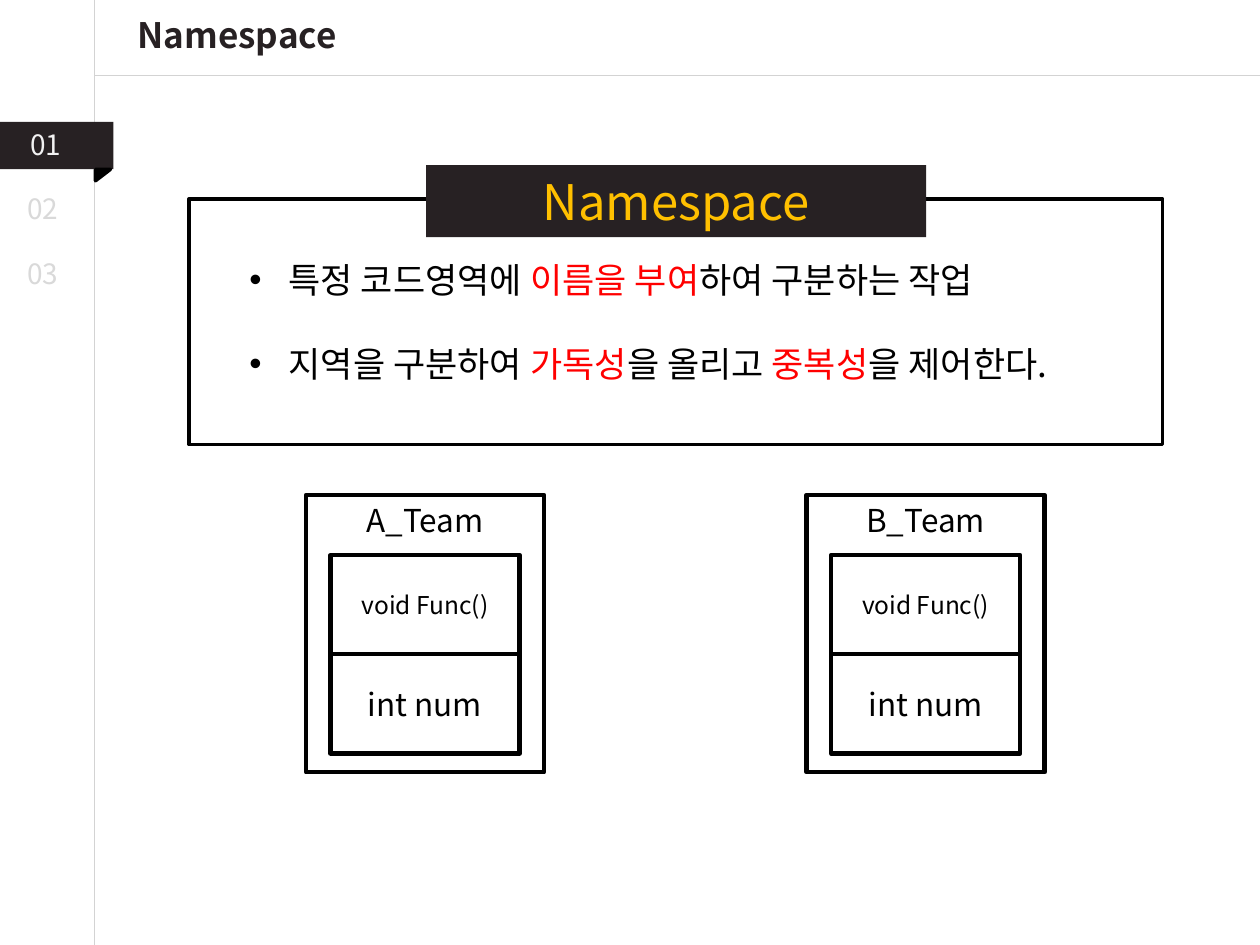
from lxml import etree
from pptx import Presentation
from pptx.dml.color import RGBColor
from pptx.enum.shapes import MSO_CONNECTOR, MSO_SHAPE
from pptx.enum.text import MSO_ANCHOR, MSO_AUTO_SIZE, PP_ALIGN
from pptx.oxml.ns import qn
from pptx.util import Cm, Pt

FONT = "Noto Sans CJK KR"
DARK, BLACK, RED, GOLD, RULE = "272123", "000000", "FF0000", "FFC000", "D3D3D3"
TITLE = "Namespace"
PAGES = [("01", 0.36, 2.44, "F2F2F2"), ("02", 0.3, 3.73, "D9D9D9"), ("03", 0.3, 5.05, "D9D9D9")]
BULLETS = [
    [("특정 코드영역에 ", BLACK), ("이름을 부여", RED), ("하여 구분하는 작업", BLACK)],
    [("지역을 구분하여 ", BLACK), ("가독성", RED), ("을 올리고 ", BLACK),
     ("중복성", RED), ("을 제어한다.", BLACK)],
]
TEAMS = [("A_Team", 6.17), ("B_Team", 16.26)]
MEMBERS = [("void Func()", 14), ("int num", 18)]
RULES = [(1.9, 0, 1.9, 19.05), (1.9, 1.52, 25.4, 1.52)]


def rgb(color):
    """Turn a hex string into a colour."""
    return RGBColor.from_string(color)


def add_run(p, text, size, color, bold=False):
    """Add one formatted run to a paragraph."""
    r = p.add_run()
    r.text = text
    for name, value in {"size": Pt(size), "bold": bold, "name": FONT}.items():
        setattr(r.font, name, value)
    r.font.color.rgb = rgb(color)
    etree.SubElement(r.font._element, qn("a:ea"), typeface=FONT)


def set_frame(sp, anchor=MSO_ANCHOR.TOP):
    """Give a text frame its wrapping, anchor and insets."""
    tf = sp.text_frame
    formats = {"word_wrap": True, "auto_size": MSO_AUTO_SIZE.NONE, "vertical_anchor": anchor,
               "margin_left": Cm(0.25), "margin_right": Cm(0.25),
               "margin_top": Cm(0.13), "margin_bottom": Cm(0.13)}
    for name, value in formats.items():
        setattr(tf, name, value)
    return tf


def write(sp, text, size, color, align=PP_ALIGN.CENTER, anchor=MSO_ANCHOR.TOP, bold=False):
    """Write a single line into a shape."""
    p = set_frame(sp, anchor).paragraphs[0]
    p.alignment = align
    add_run(p, text, size, color, bold)


def add_box(shapes, x, y, w, h, fill=None, line=None, kind=MSO_SHAPE.RECTANGLE):
    """Add a shape with an optional fill and black outline width."""
    sp = shapes.add_shape(kind, Cm(x), Cm(y), Cm(w), Cm(h))
    sp.shadow.inherit = False
    if fill:
        sp.fill.solid()
        sp.fill.fore_color.rgb = rgb(fill)
    else:
        sp.fill.background()
    if line:
        sp.line.color.rgb = rgb(BLACK)
        sp.line.width = Pt(line)
    else:
        sp.line.fill.background()
    return sp


def add_rule(shapes, x1, y1, x2, y2):
    """Add a thin grey line."""
    line = shapes.add_connector(MSO_CONNECTOR.STRAIGHT, Cm(x1), Cm(y1), Cm(x2), Cm(y2))
    line.line.color.rgb = rgb(RULE)
    line.line.width = Pt(0.75)
    etree.SubElement(line._element.spPr, qn("a:effectLst"))


def add_bullets(shapes, x, y, w, h):
    """Add the bulleted definition."""
    tf = set_frame(shapes.add_textbox(Cm(x), Cm(y), Cm(w), Cm(h)))
    for i, runs in enumerate(BULLETS):
        p = tf.add_paragraph() if i else tf.paragraphs[0]
        p.space_before = Pt(24 * i)
        pPr = p._p.get_or_add_pPr()
        pPr.set("marL", str(Cm(0.79)))
        pPr.set("indent", str(-Cm(0.79)))
        etree.SubElement(pPr, qn("a:buFont"), typeface="Arial")
        etree.SubElement(pPr, qn("a:buChar"), char="•")
        for text, color in runs:
            add_run(p, text, 20, color)


def add_team(shapes, name, x, y=9.98, w=4.8, member_w=3.81, member_h=2):
    """Add one team box with its stacked members."""
    group = shapes.add_group_shape().shapes
    write(add_box(group, x, y, w, 5.59, line=2.5), name, 18, BLACK)
    for i, (text, size) in enumerate(MEMBERS):
        sp = add_box(group, x + (w - member_w) / 2, y + 1.21 + i * member_h,
                     member_w, member_h, line=2.5)
        write(sp, text, size, BLACK, anchor=MSO_ANCHOR.MIDDLE)


def build():
    """Build and save the slide."""
    prs = Presentation()
    prs.slide_width, prs.slide_height = Cm(25.4), Cm(19.05)
    s = prs.slides.add_slide(prs.slide_layouts[5])
    shapes = s.shapes
    title = shapes.title
    title.left, title.top, title.width, title.height = Cm(2.06), Cm(0.15), Cm(5.44), Cm(1.12)
    write(title, TITLE, 20, DARK, bold=True)

    for ends in RULES:
        add_rule(shapes, *ends)
    add_box(shapes, 0, 2.46, 2.29, 0.95, fill=DARK)
    fold = add_box(shapes, 1.96, 3.38, 0.23, 0.3, BLACK, 2, MSO_SHAPE.RIGHT_TRIANGLE)
    fold.rotation = 90
    for text, x, y, color in PAGES:
        sp = shapes.add_textbox(Cm(x), Cm(y), Cm(1.4), Cm(0.94))
        write(sp, text, 16, color, PP_ALIGN.LEFT)

    add_box(shapes, 3.81, 4.01, 19.63, 4.95, line=2)
    write(add_box(shapes, 8.59, 3.33, 10.08, 1.45, fill=DARK), TITLE, 28, GOLD)
    add_bullets(shapes, 4.78, 5.08, 18.47, 2.82)
    for name, x in TEAMS:
        add_team(shapes, name, x)
    prs.save("out.pptx")


build()
